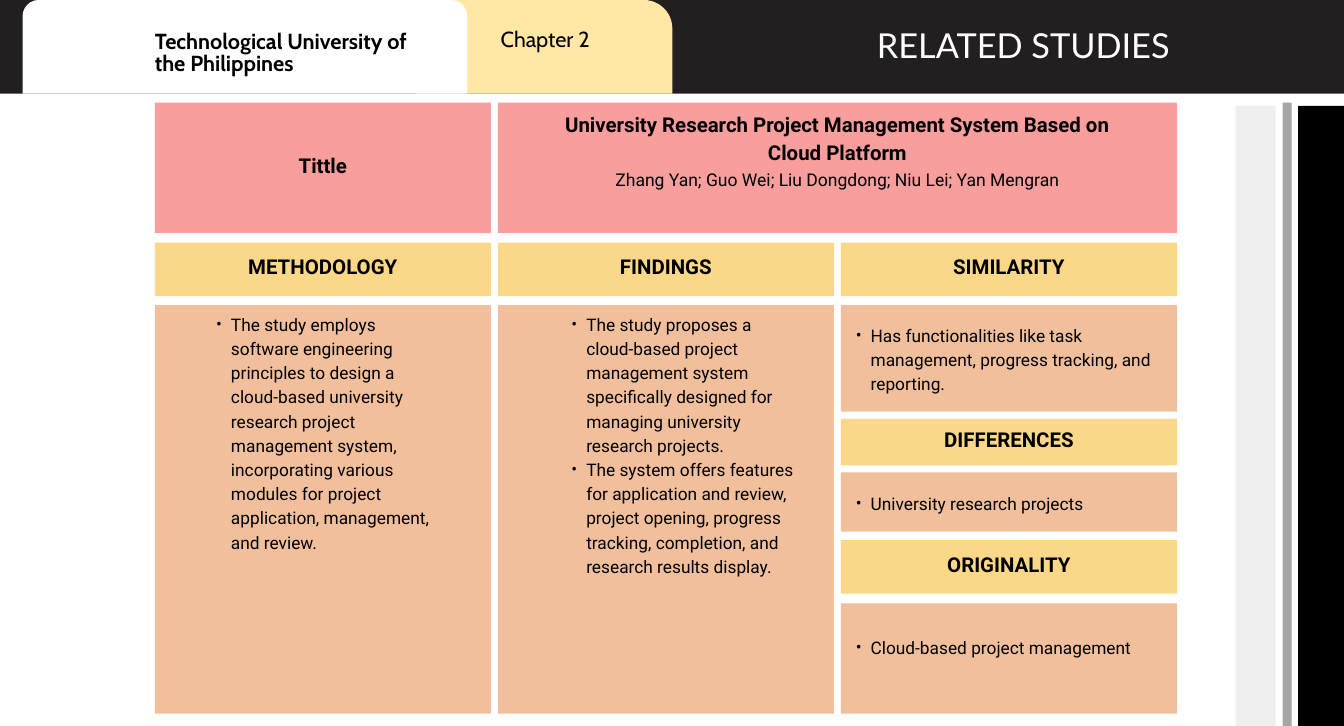
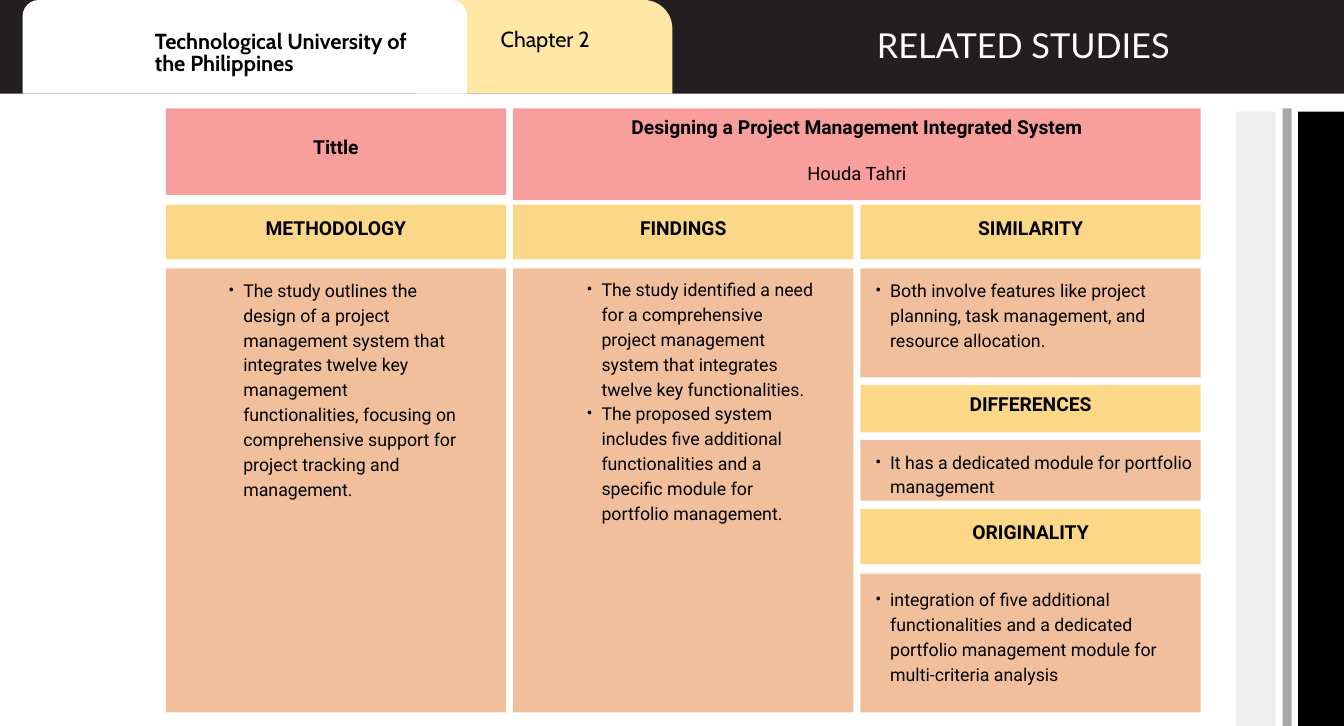
import dataclasses
import lxml.etree
import pptx
import pptx.dml.color
import pptx.enum.shapes
import pptx.enum.text
import pptx.oxml.ns
import pptx.util

PX = 9144
PAGE_WIDTH, PAGE_HEIGHT = 2083, 1125
BAND_HEIGHT = 145
GUTTER = 11
SHAPES = pptx.enum.shapes.MSO_SHAPE
ALIGN = pptx.enum.text.PP_ALIGN
ANCHOR = pptx.enum.text.MSO_ANCHOR


@dataclasses.dataclass(frozen=True)
class Style:
    font: str
    size: float
    bold: bool = False
    color: str = "000000"
    leading: float = 1.4


@dataclasses.dataclass(frozen=True)
class Theme:
    band: str = "231F20"
    paper: str = "FFFFFF"
    chapter_tab: str = "FFE7A5"
    title_card: str = "F89E9C"
    heading_card: str = "FAD888"
    list_card: str = "F1BF9C"
    stripes: tuple = ("EFEFEF", "000000", "A6A6A6")
    school: Style = Style("Cabin", 24.3, True, leading=1)
    chapter: Style = Style("Cabin", 24.3, leading=1)
    page_title: Style = Style("Lato", 38.3, color="FFFFFF", leading=0.9)


THEME = Theme()


@dataclasses.dataclass(frozen=True)
class Study:
    box: tuple
    heading: Style
    author: Style
    body: Style
    title: list
    authors: str
    author_gap: int
    label_height: int
    title_height: int
    title_lift: int
    heading_row: tuple
    list_top: int
    heading_lift: int
    columns: list
    side_cards: list


def set_values(target, values):
    for name, value in values.items():
        setattr(target, name, value)


def rgb(color):
    return pptx.dml.color.RGBColor.from_string(color)


def place(shape, area):
    for name, length in zip(("left", "top", "width", "height"), area):
        setattr(shape, name, round(length * PX))


def paint(shape, color):
    shape.fill.solid()
    shape.fill.fore_color.rgb = rgb(color)
    shape.line.fill.background()


def add_block(page, area, color, kind=SHAPES.RECTANGLE):
    block = page.shapes.add_shape(kind, *(round(n * PX) for n in area))
    block.shadow.inherit = False
    paint(block, color)
    return block


def lift_placeholder(page, index, area):
    box = page.placeholders[index]
    place(box, area)
    page.shapes.element.append(box.element)
    return box


def set_frame(frame, margins=(0, 0, 0, 0), anchor=ANCHOR.TOP):
    set_values(frame, {
        "word_wrap": True,
        "auto_size": pptx.enum.text.MSO_AUTO_SIZE.NONE,
        "vertical_anchor": anchor,
    })
    sides = ("margin_left", "margin_top", "margin_right", "margin_bottom")
    set_values(frame, {side: round(n * PX) for side, n in zip(sides, margins)})


def add_bullet(para, font):
    properties = para._p.get_or_add_pPr()
    properties.set("marL", str(46 * PX))
    properties.set("indent", str(-23 * PX))
    for tag, name, value in (("a:buFont", "typeface", font),
                             ("a:buChar", "char", "•")):
        lxml.etree.SubElement(
            properties, pptx.oxml.ns.qn(tag)).set(name, value)


def write(frame, lines, align=ALIGN.LEFT, bulleted=False):
    for number, (text, style, gap) in enumerate(lines):
        para = frame.add_paragraph() if number else frame.paragraphs[0]
        if bulleted:
            add_bullet(para, style.font)
        set_values(para, {
            "alignment": align,
            "line_spacing": pptx.util.Pt(round(style.size * style.leading, 1)),
            "space_before": pptx.util.Pt(gap),
        })
        span = para.add_run()
        span.text = text
        set_values(span.font, {
            "name": style.font,
            "size": pptx.util.Pt(style.size),
            "bold": style.bold,
        })
        span.font.color.rgb = rgb(style.color)


def add_tab(page, area, radius, color):
    tab = add_block(page, area, color, SHAPES.ROUND_2_SAME_RECTANGLE)
    tab.adjustments[0] = radius / min(area[2:])


def add_label(page, area, text, style):
    box = page.shapes.add_textbox(*(n * PX for n in area))
    set_frame(box.text_frame)
    write(box.text_frame, [(text, style, 0)])


def draw_header(page):
    add_tab(page, (644, 0, 398, BAND_HEIGHT), 44, THEME.chapter_tab)
    add_tab(page, (35, 0, 689, BAND_HEIGHT), 25, THEME.paper)
    add_block(page, (0, BAND_HEIGHT, PAGE_WIDTH, PAGE_HEIGHT - BAND_HEIGHT),
              THEME.paper)
    add_label(page, (240, 50, 404, 68),
              "Technological University of the Philippines", THEME.school)
    add_label(page, (776, 46, 404, 35), "Chapter 2", THEME.chapter)
    title = lift_placeholder(page, 0, (1359, 54, 724, 52))
    set_frame(title.text_frame)
    write(title.text_frame, [("RELATED STUDIES", THEME.page_title, 0)])


def draw_stripes(page, top):
    places = ((1915, 5, 62), (2012, 5, 71), (1988, 0, 14))
    for (left, drop, width), color in zip(places, THEME.stripes):
        add_block(page, (left, top + drop, width, PAGE_HEIGHT - top - drop),
                  color)


def draw_centred_card(page, area, color, lines, lift):
    card = add_block(page, area, color)
    set_frame(card.text_frame, (14, 0, 14, lift), ANCHOR.MIDDLE)
    write(card.text_frame, lines, ALIGN.CENTER)


def fill_list_card(card, items, style, margins):
    set_frame(card.text_frame, margins)
    write(card.text_frame, [(item, style, 0) for item in items],
          bulleted=True)


def draw_study(page, study):
    left, top, width, height = study.box
    column_width = (width - 2 * GUTTER) / 3
    lefts = [left + n * (column_width + GUTTER) for n in range(3)]

    def heading(column, offset, tall, text, color=THEME.heading_card):
        draw_centred_card(
            page, (lefts[column], top + offset, column_width, tall), color,
            [(text, study.heading, 0)], study.heading_lift)

    heading(0, 0, study.label_height, "Tittle", THEME.title_card)
    title_lines = [(line, study.heading, 0) for line in study.title]
    draw_centred_card(
        page, (lefts[1], top, 2 * column_width + GUTTER, study.title_height),
        THEME.title_card,
        title_lines + [(study.authors, study.author, study.author_gap)],
        study.title_lift)

    for column, text in enumerate(("METHODOLOGY", "FINDINGS", "SIMILARITY")):
        heading(column, *study.heading_row, text)

    for column, (indent, drop, items) in enumerate(study.columns):
        card = lift_placeholder(page, column + 1, (
            lefts[column], top + study.list_top,
            column_width, height - study.list_top))
        paint(card, THEME.list_card)
        fill_list_card(card, items, study.body,
                       (indent, drop, column_width - indent - 376, 0))

    for name, head, offset, tall, drop, item in study.side_cards:
        if head:
            heading(2, *head, name)
        card = add_block(page, (lefts[2], top + offset, column_width, tall),
                         THEME.list_card)
        fill_list_card(card, [item], study.body, (0, drop, 0, 0))


STUDIES = [
    Study(
        box=(240, 159, 1584, 947),
        heading=Style("Roboto", 22.8, True),
        author=Style("Roboto", 19.6),
        body=Style("Roboto", 19.3),
        title=["University Research Project Management System Based on",
               "Cloud Platform"],
        authors="Zhang Yan; Guo Wei; Liu Dongdong; Niu Lei; Yan Mengran",
        author_gap=0,
        label_height=202, title_height=202, title_lift=59,
        heading_row=(217, 83), list_top=314, heading_lift=15,
        columns=[
            (72, 8, [
                "The study employs software engineering principles to design "
                "a cloud-based university research project management "
                "system, incorporating various modules for project "
                "application, management, and review."]),
            (91, 8, [
                "The study proposes a cloud-based project management system "
                "specifically designed for managing university research "
                "projects.",
                "The system offers features for application and review, "
                "project opening, progress tracking, completion, and "
                "research results display."]),
        ],
        side_cards=[
            ("SIMILARITY", None, 314, 165, 25,
             "Has functionalities like task management, progress tracking, "
             "and reporting."),
            ("DIFFERENCES", (490, 72), 573, 92, 27,
             "University research projects"),
            ("ORIGINALITY", (678, 83), 776, 171, 47,
             "Cloud-based project management"),
        ]),
    Study(
        box=(257, 168, 1604, 936),
        heading=Style("Roboto", 21.5, True),
        author=Style("Roboto", 20.5),
        body=Style("Roboto", 19.8),
        title=["Designing a Project Management Integrated System"],
        authors="Houda Tahri",
        author_gap=23,
        label_height=134, title_height=142, title_lift=20,
        heading_row=(149, 85), list_top=248, heading_lift=20,
        columns=[
            (74, 12, [
                "The study outlines the design of a project management "
                "system that integrates twelve key management "
                "functionalities, focusing on comprehensive support for "
                "project tracking and management."]),
            (91, 11, [
                "The study identified a need for a comprehensive project "
                "management system that integrates twelve key "
                "functionalities.",
                "The proposed system includes five additional "
                "functionalities and a specific module for portfolio "
                "management."]),
        ],
        side_cards=[
            ("SIMILARITY", None, 248, 169, 12,
             "Both involve features like project planning, task management, "
             "and resource allocation."),
            ("DIFFERENCES", (429, 73), 514, 94, 12,
             "It has a dedicated module for portfolio management"),
            ("ORIGINALITY", (621, 85), 721, 215, 18,
             "integration of five additional functionalities and a dedicated "
             "portfolio management module for multi-criteria analysis"),
        ]),
]


def main():
    deck = pptx.Presentation()
    set_values(deck, {"slide_width": PAGE_WIDTH * PX,
                      "slide_height": PAGE_HEIGHT * PX})
    backdrop = deck.slide_master.background.fill
    backdrop.solid()
    backdrop.fore_color.rgb = rgb(THEME.band)
    for study in STUDIES:
        page = deck.slides.add_slide(deck.slide_layouts[3])
        draw_header(page)
        draw_study(page, study)
        draw_stripes(page, study.box[1])
    deck.save("out.pptx")


if __name__ == "__main__":
    main()
